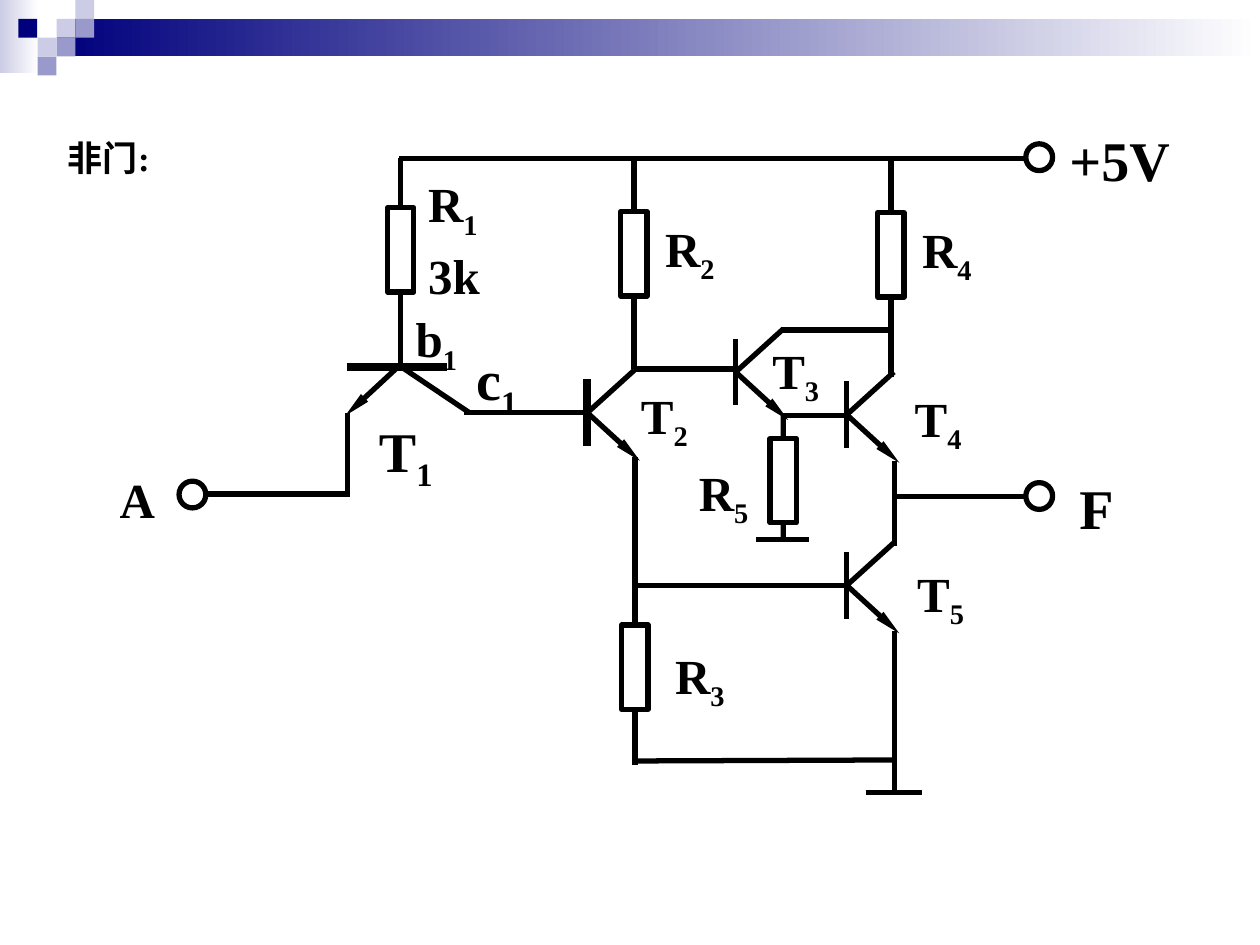
from lxml import etree
from pptx import Presentation
from pptx.dml.color import RGBColor
from pptx.enum.shapes import MSO_CONNECTOR, MSO_SHAPE
from pptx.enum.text import MSO_ANCHOR, MSO_AUTO_SIZE, PP_ALIGN
from pptx.oxml.ns import qn
from pptx.util import Cm, Pt

RECT, OVAL = MSO_SHAPE.RECTANGLE, MSO_SHAPE.OVAL
STRAIGHT = MSO_CONNECTOR.STRAIGHT
MIDDLE, CENTER = MSO_ANCHOR.MIDDLE, PP_ALIGN.CENTER
FIT = MSO_AUTO_SIZE.SHAPE_TO_FIT_TEXT
TOP, BOTTOM = 0, 2


def rgb(value):
    return RGBColor.from_string(value)


class Circuit:
    """Style and drawing methods for the current slide."""
    font = {"name": "Times New Roman", "bold": True}
    ink = "000000"
    width = 3
    square = 0.38
    resistor_size = (0.53, 1.7)
    terminal_size = 0.54

    def __init__(self, slide):
        self.s = slide

    def style(self, font, size):
        for key, value in {**self.font, "size": Pt(size)}.items():
            setattr(font, key, value)
        font.color.rgb = rgb(self.ink)

    def shape(self, kind, x, y, w, h):
        sp = self.s.shapes.add_shape(kind, Cm(x), Cm(y), Cm(w), Cm(h))
        sp.shadow.inherit = False
        return sp

    def fade(self, x, y, w, h, color):
        sp = self.shape(RECT, x, y, w, h)
        sp.line.fill.background()
        sp.fill.gradient()
        sp.fill.gradient_angle = 180
        for stop, value in zip(sp.fill.gradient_stops, ("FFFFFF", color)):
            stop.color.rgb = rgb(value)

    def tile(self, x, y, color):
        sp = self.shape(RECT, x, y, self.square, self.square)
        sp.line.fill.background()
        sp.fill.solid()
        sp.fill.fore_color.rgb = rgb(color)

    def outline(self, kind, x, y, w, h):
        sp = self.shape(kind, x, y, w, h)
        sp.fill.background()
        sp.line.color.rgb = rgb(self.ink)
        sp.line.width = Pt(self.width)
        return sp

    def wire(self, x1, y1, x2, y2, width=width, arrow=False):
        c = self.s.shapes.add_connector(STRAIGHT, Cm(x1), Cm(y1), Cm(x2), Cm(y2))
        c.line.color.rgb = rgb(self.ink)
        c.line.width = Pt(width)
        if arrow:
            etree.SubElement(c.line._get_or_add_ln(), qn("a:tailEnd"),
                             type="triangle", w="sm", len="lg")
        etree.SubElement(c._element.spPr, qn("a:effectLst"))
        return c

    def resistor(self, x, y, upper, lower):
        """Resistor centred on x, with leads up to upper and down to lower."""
        w, h = self.resistor_size
        sp = self.outline(RECT, x - w / 2, y, w, h)
        self.wire(x, y, x, upper).begin_connect(sp, TOP)
        self.wire(x, y + h, x, lower).begin_connect(sp, BOTTOM)

    def transistor(self, x, y, bar=width):
        self.wire(x, y - 0.67, x, y + 0.67, bar)
        self.wire(x, y, x + 1.06, y + 0.97, arrow=True)
        self.wire(x, y, x + 0.95, y - 0.86)

    def terminal(self, x, y):
        self.outline(OVAL, x, y, self.terminal_size, self.terminal_size)

    def label(self, x, y, w, h, text, sub="", size=28):
        tb = self.s.shapes.add_textbox(Cm(x), Cm(y), Cm(w), Cm(h))
        tf = tb.text_frame
        tf.word_wrap = True
        tf.auto_size = FIT
        p = tf.paragraphs[0]
        for part, baseline in ((text, None), (sub, "-25000")):
            if part:
                r = p.add_run()
                r.text = part
                self.style(r.font, size)
                if baseline:
                    r._r.get_or_add_rPr().set("baseline", baseline)

    def title(self, x, y, w, h, text, size=20):
        sp = self.s.shapes.title
        sp.left, sp.top, sp.width, sp.height = Cm(x), Cm(y), Cm(w), Cm(h)
        tf = sp.text_frame
        tf.text = text
        tf.word_wrap = False
        tf.auto_size = FIT
        tf.vertical_anchor = MIDDLE
        p = tf.paragraphs[0]
        p.alignment = CENTER
        self.style(p.runs[0].font, size)


def main():
    prs = Presentation()
    prs.slide_width, prs.slide_height = Cm(25.4), Cm(19.05)
    d = Circuit(prs.slides.add_slide(prs.slide_layouts[5]))

    # Header band and tiles
    d.fade(0, 0, 0.78, 1.48, "CCCCE6")
    d.fade(1.14, 0.38, 24.26, 0.75, "00007D")
    for x, y, color in [(1.14, 0.38, "CCCCE6"), (1.52, 0, "CCCCE6"),
                        (1.52, 0.38, "9999CC"), (0.76, 0.76, "CCCCE6"),
                        (0.37, 0.38, "00007D"), (1.14, 0.76, "9999CC"),
                        (0.76, 1.14, "9999CC")]:
        d.tile(x, y, color)
    d.title(0.95, 2.62, 2.49, 1.12, "非门:")

    # Input transistor T1
    d.wire(6.99, 7.39, 9.02, 7.39, 4.5)
    d.wire(8.03, 7.39, 6.96, 8.38, arrow=True)
    d.wire(8.08, 7.39, 9.45, 8.31)

    # Transistors T2 to T5
    for x, y, bar in [(11.84, 8.32, 4.5), (14.83, 7.5, 3),
                      (17.07, 8.36, 3), (17.07, 11.8, 3)]:
        d.transistor(x, y, bar)

    # Resistors R1, R2, R4, R5, R3 with their leads
    for x, y, upper, lower in [(8.08, 4.19, 3.18, 7.39), (12.78, 4.27, 3.18, 7.44),
                               (17.96, 4.29, 3.2, 6.83), (15.79, 8.84, 8.33, 10.92),
                               (12.8, 12.6, 9.22, 15.42)]:
        d.resistor(x, y, upper, lower)

    # Wires
    for ends in [(8.05, 3.2, 20.7, 3.2),        # supply rail
                 (9.35, 8.31, 11.84, 8.31),     # T1 collector to T2 base
                 (14.83, 7.44, 12.78, 7.44),    # T2 collector to T3 base
                 (15.75, 8.38, 17.07, 8.38),    # T3 emitter to T4 base
                 (15.75, 6.65, 17.96, 6.65),    # T3 collector to R4
                 (17.96, 7.59, 17.96, 6.65),
                 (17.04, 11.81, 12.8, 11.81),   # T2 emitter to T5 base
                 (12.8, 15.34, 18.03, 15.32),   # R3 to ground
                 (18.03, 9.3, 18.03, 11),       # T4 emitter to T5 collector
                 (18.03, 12.73, 18.03, 16),     # T5 emitter to ground
                 (15.24, 10.87, 16.31, 10.87),  # ground bars
                 (17.45, 15.98, 18.59, 15.98),
                 (18.03, 10.01, 20.68, 10.01),  # output
                 (7.01, 8.33, 7.01, 10.01),     # input
                 (7.06, 9.96, 4.17, 9.96)]:
        d.wire(*ends)

    # Terminals
    for x, y in [(20.68, 2.9), (20.68, 9.73), (3.61, 9.7)]:
        d.terminal(x, y)

    # Labels
    for x, y, w, text, sub in [(18.34, 4.29, 2.92, "R", "4"), (13.16, 4.27, 2.92, "R", "2"),
                               (8.38, 3.38, 2.92, "R", "1"), (12.67, 7.65, 1.7, "T", "2"),
                               (13.84, 9.19, 1.75, "R", "5"), (13.36, 12.88, 2.87, "R", "3"),
                               (15.32, 6.73, 2.74, "T", "3"), (18.19, 7.7, 1.85, "T", "4"),
                               (18.24, 11.23, 1.85, "T", "5"), (8.13, 6.1, 2.24, "b", "1")]:
        d.label(x, y, w, 1.6, text, sub)
    for x, y, w, text in [(8.38, 4.83, 3.43, "3k"), (2.16, 9.35, 1.96, "A")]:
        d.label(x, y, w, 1.45, text)
    for x, y, w, h, text, sub in [(21.31, 2.41, 3.48, 1.63, "+5V", ""),
                                  (21.51, 9.42, 2.06, 1.63, "F", ""),
                                  (7.39, 8.28, 2.01, 1.8, "T", "1"),
                                  (9.35, 6.83, 2.79, 1.8, "c", "1")]:
        d.label(x, y, w, h, text, sub, 32)

    prs.save("out.pptx")


if __name__ == "__main__":
    main()
